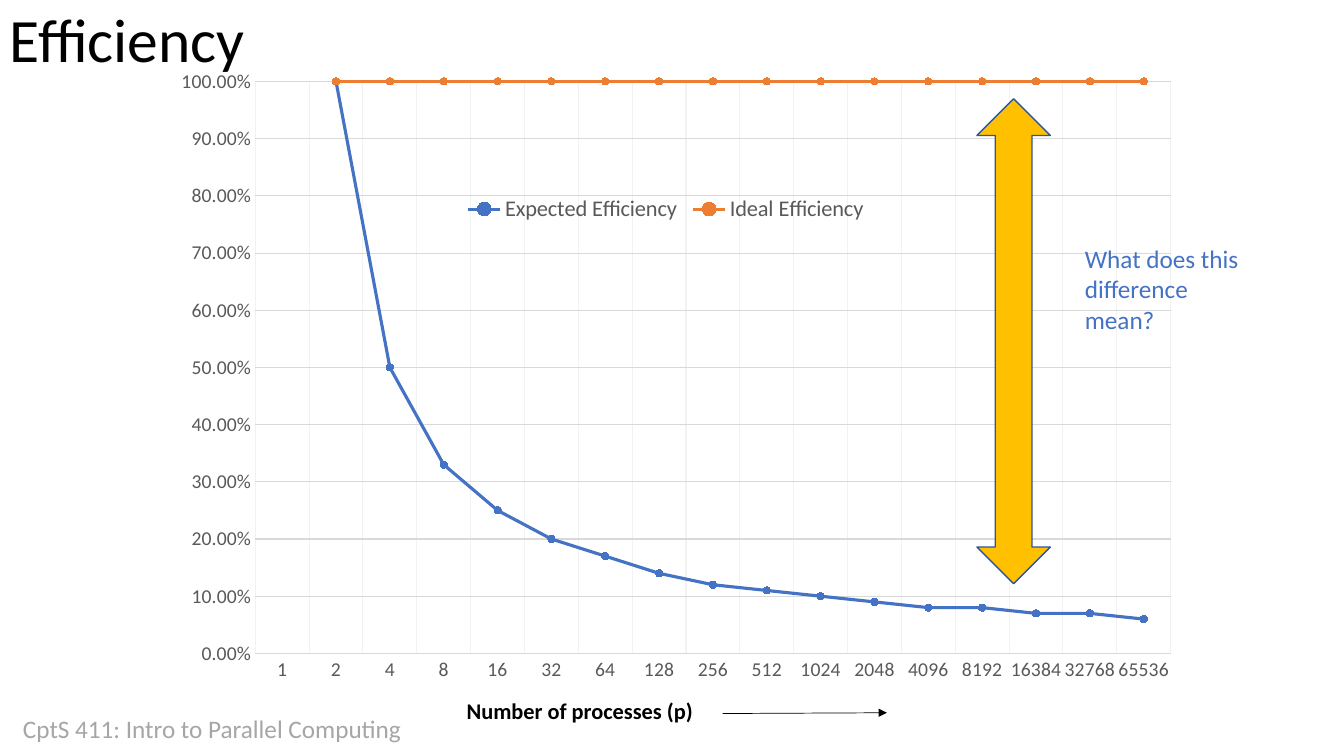
from lxml.etree import SubElement
from pptx import Presentation
from pptx.chart.data import CategoryChartData
from pptx.dml.color import RGBColor
from pptx.enum.chart import XL_CHART_TYPE as ChartType, XL_LEGEND_POSITION as LegendPosition
from pptx.enum.chart import XL_MARKER_STYLE as MarkerStyle, XL_TICK_MARK as TickMark
from pptx.enum.shapes import MSO_CONNECTOR as Connector, MSO_SHAPE as Shape
from pptx.enum.text import MSO_ANCHOR as Anchor
from pptx.oxml.ns import qn
from pptx.util import Cm, Pt

FONT = "Calibri"
BLUE, ORANGE, GOLD = "4472C4", "ED7D31", "FFC000"
BLACK, DARK_GREY, MID_GREY = "000000", "595959", "A6A6A6"
GRID, FAINT_GRID = "D9D9D9", "F2F2F2"


def color(code):
    return RGBColor.from_string(code)


def style_font(font, size, code, bold=False):
    font.name = FONT
    font.size = Pt(size)
    font.bold = bold
    font.color.rgb = color(code)


def style_line(line, code, width):
    line.color.rgb = color(code)
    line.width = Pt(width)


def add_text(page, box, lines, size, code, bold=False, wrap=True, anchor=Anchor.TOP):
    frame = page.shapes.add_textbox(*map(Cm, box)).text_frame
    frame.word_wrap = wrap
    frame.vertical_anchor = anchor
    para = frame.paragraphs[0]
    for index, line in enumerate(lines):
        if index:
            para.add_line_break()
        span = para.add_run()
        span.text = line
        style_font(span.font, size, code, bold)
    return para


def set_layout(parent, position, left, top, width, height, inner=False):
    for old in parent.findall(qn("c:layout")):
        parent.remove(old)
    layout = parent.makeelement(qn("c:layout"))
    parent.insert(position, layout)
    manual = SubElement(layout, qn("c:manualLayout"))
    settings = [("layoutTarget", "inner")] if inner else []
    settings += [("xMode", "edge"), ("yMode", "edge"),
                 ("x", left), ("y", top), ("w", width), ("h", height)]
    for name, value in settings:
        SubElement(manual, qn(f"c:{name}")).set("val", str(value))


def style_axis(axis, grid_code):
    axis.major_tick_mark = axis.minor_tick_mark = TickMark.NONE
    axis.has_major_gridlines = True
    style_line(axis.major_gridlines.format.line, grid_code, 0.75)
    style_font(axis.tick_labels.font, 14, DARK_GREY)


def add_efficiency_chart(page, box):
    steps = range(1, 17)
    data = CategoryChartData(number_format="0.00%")
    data.categories = ["1"] + [str(2 ** step) for step in steps]
    data.add_series("Expected Efficiency", [None] + [round(1 / step, 2) for step in steps])
    data.add_series("Ideal Efficiency", [None] + [1 for step in steps])
    chart = page.shapes.add_chart(ChartType.LINE_MARKERS, *map(Cm, box), data).chart
    chart.has_title = False
    style_font(chart.font, 10, BLACK)

    style_axis(chart.category_axis, FAINT_GRID)
    style_line(chart.category_axis.format.line, GRID, 0.75)
    values = chart.value_axis
    style_axis(values, GRID)
    values.format.line.fill.background()
    values.minimum_scale, values.maximum_scale, values.major_unit = 0, 1, 0.1
    values.tick_labels.number_format = "0.00%"
    values.tick_labels.number_format_is_linked = False

    plot = chart.plots[0]
    plot.vary_by_categories = False
    for series, code in zip(plot.series, (BLUE, ORANGE)):
        series.smooth = False
        style_line(series.format.line, code, 2.25)
        marker = series.marker
        marker.style, marker.size = MarkerStyle.CIRCLE, 5
        marker.format.fill.solid()
        marker.format.fill.fore_color.rgb = color(code)
        style_line(marker.format.line, code, 0.75)

    chart.has_legend = True
    legend = chart.legend
    legend.position = LegendPosition.BOTTOM
    legend.include_in_layout = False
    style_font(legend.font, 16, DARK_GREY)
    set_layout(legend._element, 1, 0.29, 0.2, 0.4, 0.05)
    set_layout(plot._element.getparent(), 0, 0.092, 0.038, 0.887, 0.838, inner=True)


def add_axis_caption(page, box):
    left, top, width, height = box
    add_text(page, (left, top, 6.5, height), ["Number of processes (p)"], 16, BLACK,
             bold=True, wrap=False)
    arrow = page.shapes.add_connector(Connector.STRAIGHT, Cm(left + 6.7), Cm(top + 0.53),
                                      Cm(left + width), Cm(top + 0.51))
    style_line(arrow.line, BLACK, 0.5)
    SubElement(arrow.line._get_or_add_ln(), qn("a:tailEnd")).set("type", "triangle")
    SubElement(arrow._element.spPr, qn("a:effectLst"))


def add_gap_question(page, box):
    left, top, width, height = box
    arrow = page.shapes.add_shape(Shape.UP_DOWN_ARROW, Cm(left), Cm(top), Cm(1.85), Cm(height))
    arrow.shadow.inherit = False
    arrow.fill.solid()
    arrow.fill.fore_color.rgb = color(GOLD)
    style_line(arrow.line, "325491", 1)
    add_text(page, (left + 2.47, top + 3.52, width - 2.47, 2.57),
             ["What does this", "difference mean?"], 18, BLUE)


def add_title(page, box):
    para = add_text(page, box, ["Efficiency"], 44, BLACK, anchor=Anchor.MIDDLE)
    para.line_spacing = 0.9


def add_footer(page, box):
    add_text(page, box, ["CptS 411: Intro to Parallel Computing"], 18, MID_GREY, wrap=False)


def main():
    deck = Presentation()
    deck.slide_width, deck.slide_height = Cm(33.87), Cm(19.05)
    page = deck.slides.add_slide(deck.slide_layouts[6])
    add_title(page, (0, -0.76, 29.21, 3.68))
    add_efficiency_chart(page, (4.04, 1.4, 26.01, 17.2))
    add_axis_caption(page, (11.51, 17.45, 10.84, 1.19))
    add_gap_question(page, (24.62, 2.49, 7.4, 12.22))
    add_footer(page, (0.33, 17.86, 10.16, 1.02))
    deck.save("out.pptx")


if __name__ == "__main__":
    main()
